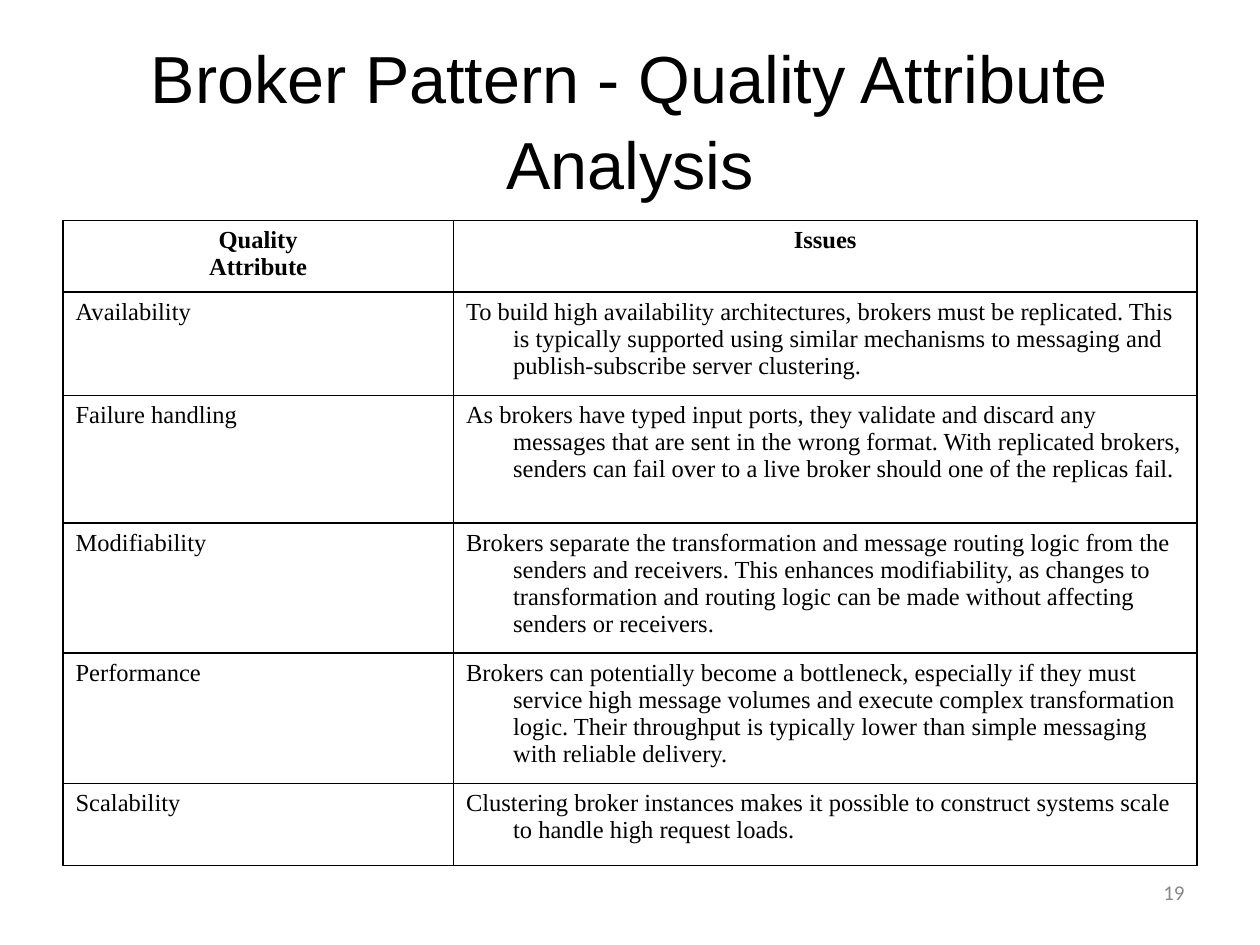
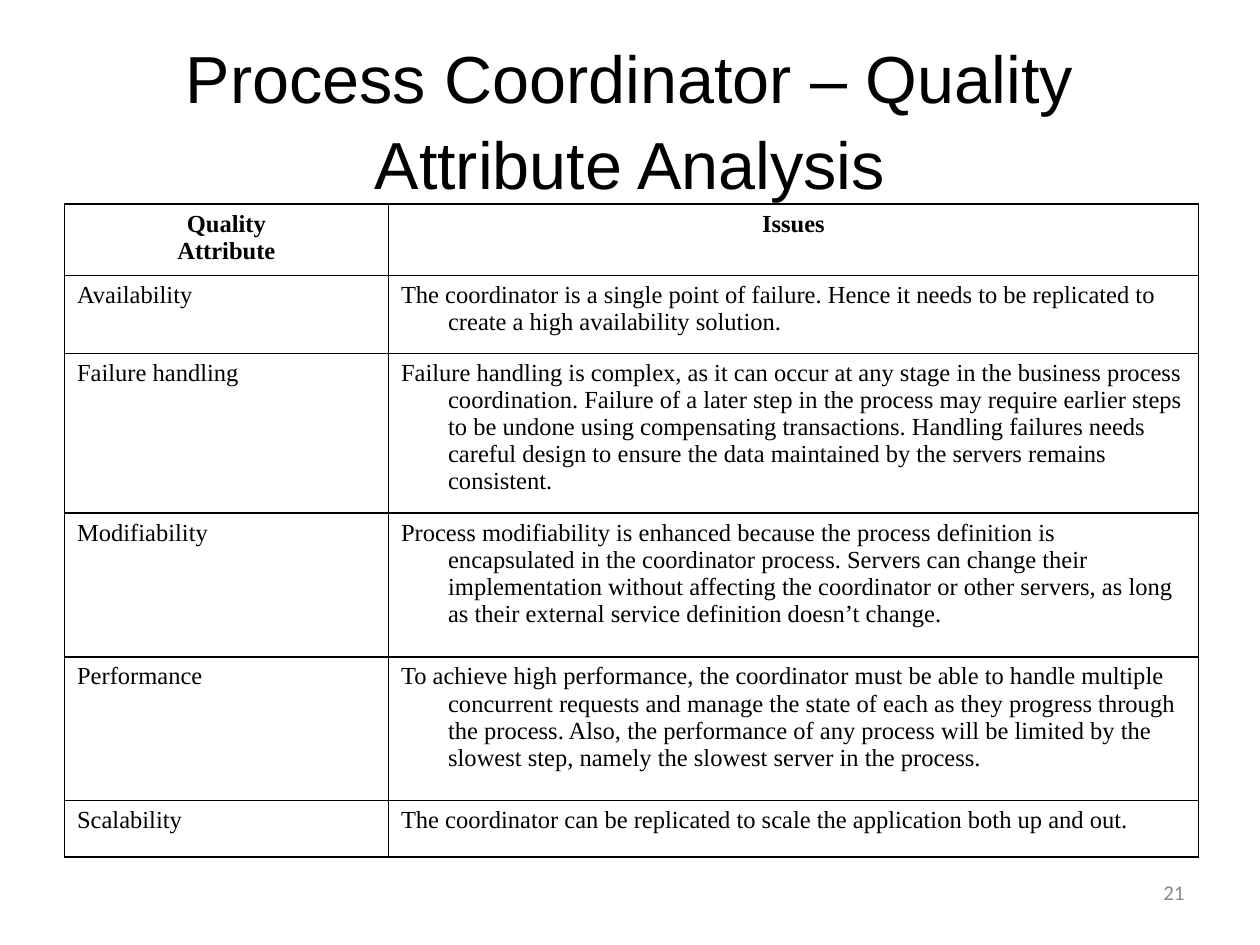
from dataclasses import dataclass

from lxml.etree import SubElement
from pptx import Presentation
from pptx.dml.color import RGBColor
from pptx.enum.text import MSO_ANCHOR as Anchor, PP_ALIGN as Align
from pptx.oxml.ns import qn
from pptx.util import Cm, Pt


@dataclass(frozen=True)
class TextStyle:
    font: str
    size: float
    color: str
    bold: bool = False


@dataclass(frozen=True)
class Theme:
    title: TextStyle = TextStyle("Arial", 38, "000000")
    header: TextStyle = TextStyle("Times New Roman", 14, "000000", True)
    body: TextStyle = TextStyle("Times New Roman", 14, "000000")
    number: TextStyle = TextStyle("Calibri", 12, "898989")
    border_color: str = "000000"
    border_width: float = 1
    hanging_indent: float = 0.95
    title_spacing: float = 1.08


ATTRIBUTES = ("Availability", "Failure handling", "Modifiability",
              "Performance", "Scalability")

ANALYSES = [
    {
        "title": "Broker Pattern - Quality Attribute Analysis",
        "number": 19,
        "corner": (1.27, 4.45),
        "widths": (7.87, 14.99),
        "heights": (1.35, 2.08, 2.57, 2.57, 2.57, 1.65),
        "issues": (
            "To build high availability architectures, brokers must be "
            "replicated. This is typically supported using similar mechanisms "
            "to messaging and publish-subscribe server clustering.",
            "As brokers have typed input ports, they validate and discard any "
            "messages that are sent in the wrong format. With replicated "
            "brokers, senders can fail over to a live broker should one of "
            "the replicas fail.",
            "Brokers separate the transformation and message routing logic "
            "from the senders and receivers. This enhances modifiability, as "
            "changes to transformation and routing logic can be made without "
            "affecting senders or receivers.",
            "Brokers can potentially become a bottleneck, especially if they "
            "must service high message volumes and execute complex "
            "transformation logic. Their throughput is typically lower than "
            "simple messaging with reliable delivery.",
            "Clustering broker instances makes it possible to construct "
            "systems scale to handle high request loads.",
        ),
    },
    {
        "title": "Process Coordinator – Quality Attribute Analysis",
        "number": 21,
        "corner": (1.3, 4.11),
        "widths": (6.53, 16.33),
        "heights": (1.35, 1.57, 2.97, 2.9, 2.9, 1.14),
        "issues": (
            "The coordinator is a single point of failure. Hence it needs to "
            "be replicated to create a high availability solution.",
            "Failure handling is complex, as it can occur at any stage in the "
            "business process coordination. Failure of a later step in the "
            "process may require earlier steps to be undone using "
            "compensating transactions. Handling failures needs careful "
            "design to ensure the data maintained by the servers remains "
            "consistent.",
            "Process modifiability is enhanced because the process definition "
            "is encapsulated in the coordinator process. Servers can change "
            "their implementation without affecting the coordinator or other "
            "servers, as long as their external service definition doesn’t "
            "change.",
            "To achieve high performance, the coordinator must be able to "
            "handle multiple concurrent requests and manage the state of each "
            "as they progress through the process. Also, the performance of "
            "any process will be limited by the slowest step, namely the "
            "slowest server in the process.",
            "The coordinator can be replicated to scale the application both "
            "up and out.",
        ),
    },
]


class Deck:
    """Adds styled elements to the current slide."""

    def __init__(self, theme):
        self.theme = theme
        self.presentation = Presentation()
        self.presentation.slide_width = Cm(25.4)
        self.presentation.slide_height = Cm(19.05)
        self.slide = None

    def new_slide(self):
        blank = self.presentation.slide_layouts[6]
        self.slide = self.presentation.slides.add_slide(blank)

    def fill_text(self, frame, text, style, align):
        frame.text = text
        for paragraph in frame.paragraphs:
            paragraph.alignment = align
            for run in paragraph.runs:
                run.font.name = style.font
                run.font.size = Pt(style.size)
                run.font.bold = style.bold
                run.font.color.rgb = RGBColor.from_string(style.color)

    def text(self, box, text, style, align):
        frame = self.slide.shapes.add_textbox(*map(Cm, box)).text_frame
        frame.word_wrap = True
        frame.vertical_anchor = Anchor.MIDDLE
        self.fill_text(frame, text, style, align)
        return frame

    def title(self, text):
        frame = self.text((1.27, 0.76, 22.86, 3.18), text,
                          self.theme.title, Align.CENTER)
        frame.paragraphs[0].line_spacing = self.theme.title_spacing

    def page_number(self, number):
        self.text((18.21, 17.35, 5.92, 1.27), str(number),
                  self.theme.number, Align.RIGHT)

    def table(self, corner, widths, heights, rows):
        """Draw a bordered grid whose first row is the header."""
        size = (sum(widths), sum(heights))
        grid = self.slide.shapes.add_table(
            len(heights), len(widths), *map(Cm, corner + size)).table
        grid.first_row = grid.horz_banding = False
        for column, width in zip(grid.columns, widths):
            column.width = Cm(width)
        for row, height in zip(grid.rows, heights):
            row.height = Cm(height)
        for r, texts in enumerate(rows):
            style = self.theme.body if r else self.theme.header
            aligns = (Align.JUSTIFY, Align.LEFT) if r else (Align.CENTER,) * 2
            for c, (text, align) in enumerate(zip(texts, aligns)):
                self.cell(grid.cell(r, c), text, style, align)

    def cell(self, cell, text, style, align):
        self.fill_text(cell.text_frame, text, style, align)
        indent = Cm(self.theme.hanging_indent)
        for paragraph in cell.text_frame.paragraphs:
            properties = paragraph._p.get_or_add_pPr()
            properties.set("marL", str(indent))
            properties.set("indent", str(-indent))
        self.border(cell)
        cell.fill.background()

    def border(self, cell):
        properties = cell._tc.get_or_add_tcPr()
        for side in "LRTB":
            line = SubElement(properties, qn(f"a:ln{side}"),
                              w=str(Pt(self.theme.border_width)))
            fill = SubElement(line, qn("a:solidFill"))
            SubElement(fill, qn("a:srgbClr"), val=self.theme.border_color)


def main():
    deck = Deck(Theme())
    for analysis in ANALYSES:
        deck.new_slide()
        deck.title(analysis["title"])
        rows = [("Quality\nAttribute", "Issues"),
                *zip(ATTRIBUTES, analysis["issues"])]
        deck.table(analysis["corner"], analysis["widths"],
                   analysis["heights"], rows)
        deck.page_number(analysis["number"])
    deck.presentation.save("out.pptx")


if __name__ == "__main__":
    main()
